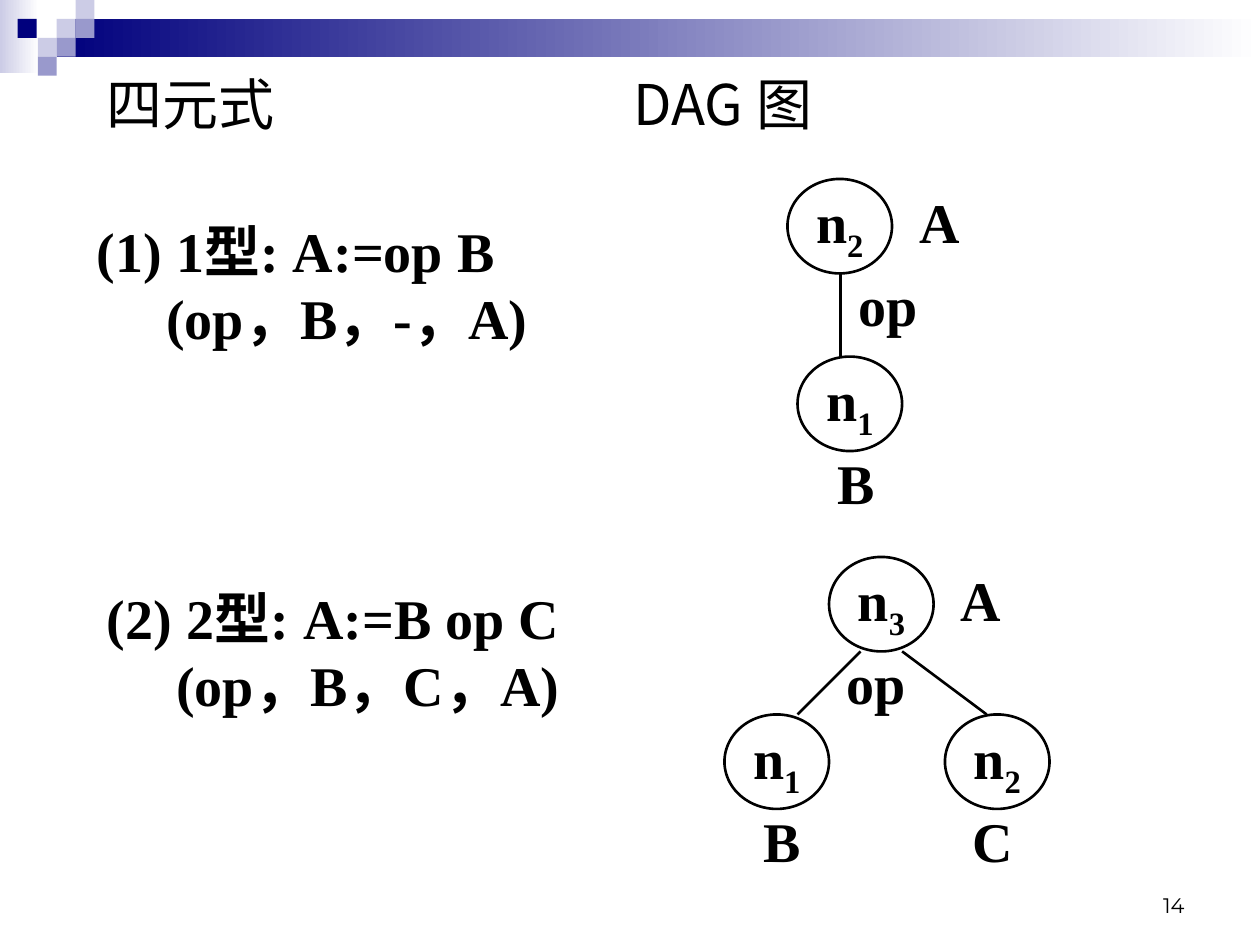
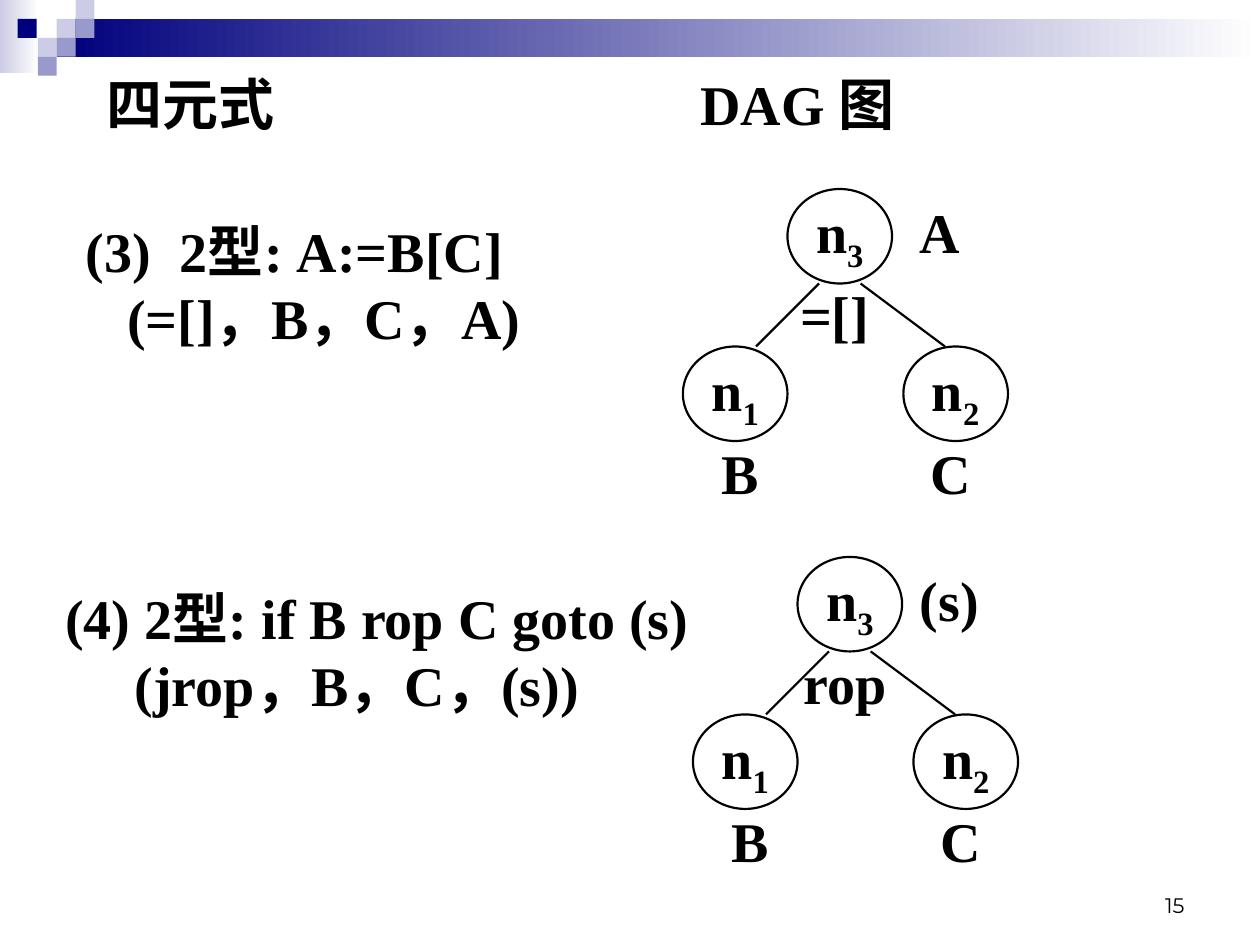
import pptx
import pptx.util
import pptx.dml.color
import pptx.enum.shapes
import pptx.enum.text
import pptx.oxml
import pptx.oxml.ns

Inches, Pt = pptx.util.Inches, pptx.util.Pt
SHAPE = pptx.enum.shapes.MSO_SHAPE
ALIGN = pptx.enum.text.PP_ALIGN
ANCHOR = pptx.enum.text.MSO_ANCHOR

COLORS = {"ink": "000000", "navy": "00007D", "violet": "9999CC",
          "pale": "CCCCE6", "white": "FFFFFF"}
SERIF, SANS, DIGITS = "Times New Roman", "Noto Sans CJK SC", "Montserrat"
NODE_W, NODE_H = 0.83, 0.75
TILE = 0.15
TILES = [(0.45, 0.15, "pale"), (0.6, 0, "pale"), (0.6, 0.15, "violet"),
         (0.3, 0.3, "pale"), (0.14, 0.15, "navy"), (0.45, 0.3, "violet"),
         (0.3, 0.45, "violet")]


def rgb(name):
    return pptx.dml.color.RGBColor.from_string(COLORS[name])


class Deck:
    label_format = {"size": Pt(32), "name": SERIF, "bold": True}

    def __init__(self):
        self.prs = pptx.Presentation()
        self.prs.slide_width, self.prs.slide_height = Inches(10), Inches(7.5)
        self.s = None
        self.line_width = 1.5

    def slide(self, number, line_width):
        self.s = self.prs.slides.add_slide(self.prs.slide_layouts[6])
        self.line_width = line_width
        self.rect(0, 0, 0.31, 0.58, "pale", "white")
        self.rect(0.45, 0.15, 9.55, 0.3, "navy", "white")
        for x, y, color in TILES:
            self.rect(x, y, TILE, TILE, color)
        tf = self.box(7.17, 6.83, 2.33, 0.5, ANCHOR.BOTTOM)
        p = tf.paragraphs[0]
        p.alignment = ALIGN.RIGHT
        self.run(p, number, size=Pt(12), name=DIGITS, bold=False)

    def rect(self, x, y, w, h, color, fade=None):
        sp = self.s.shapes.add_shape(SHAPE.RECTANGLE, Inches(x), Inches(y), Inches(w), Inches(h))
        sp.shadow.inherit = False
        sp.line.fill.background()
        if fade:
            sp.fill.gradient()
            sp.fill.gradient_angle = 0
            for stop, name in zip(sp.fill.gradient_stops, (color, fade)):
                stop.color.rgb = rgb(name)
        else:
            sp.fill.solid()
            sp.fill.fore_color.rgb = rgb(color)

    def box(self, x, y, w, h, anchor=ANCHOR.TOP, wrap=True):
        sp = self.s.shapes.add_textbox(Inches(x), Inches(y), Inches(w), Inches(h))
        tf = sp.text_frame
        tf.word_wrap, tf.vertical_anchor = wrap, anchor
        return tf

    def run(self, p, text, **changes):
        r = p.add_run()
        r.text = text
        for key, value in {**self.label_format, **changes}.items():
            setattr(r.font, key, value)
        r.font.color.rgb = rgb("ink")
        ea = pptx.oxml.parse_xml(
            f'<a:ea {pptx.oxml.ns.nsdecls("a")} typeface="{SANS}"/>')
        r.font._element.find(pptx.oxml.ns.qn("a:latin")).addnext(ea)
        return r

    def tab(self, p, position):
        p._p.get_or_add_pPr().append(pptx.oxml.parse_xml(
            f'<a:tabLst {pptx.oxml.ns.nsdecls("a")}>'
            f'<a:tab pos="{Inches(position)}" algn="l"/></a:tabLst>'))

    def heading(self, tab, name, bold):
        p = self.box(0.75, 0.5, 8.33, 0.75).paragraphs[0]
        self.tab(p, tab)
        self.run(p, "四元式\t", name=SANS, bold=bold)
        self.run(p, "DAG 图", name=name, bold=bold)

    def quadruple(self, x, y, w, rule, code, indent, tab=None):
        tf = self.box(x, y, w, 1.42)
        p = tf.paragraphs[0]
        if tab:
            self.tab(p, tab)
        self.run(p, rule)
        p = tf.add_paragraph()
        p._p.get_or_add_pPr().set("indent", str(Inches(indent)))
        self.run(p, code)

    def label(self, x, y, text):
        tf = self.box(x, y, 0.75, 0.67, ANCHOR.MIDDLE, False)
        tf.margin_left = tf.margin_right = 0
        p = tf.paragraphs[0]
        p.alignment = ALIGN.CENTER
        self.run(p, text)

    def node(self, x, y, index):
        sp = self.s.shapes.add_shape(SHAPE.OVAL, Inches(x), Inches(y),
                                     Inches(NODE_W), Inches(NODE_H))
        sp.shadow.inherit = False
        sp.fill.background()
        sp.line.color.rgb = rgb("ink")
        sp.line.width = Pt(self.line_width)
        tf = sp.text_frame
        tf.word_wrap, tf.vertical_anchor = False, ANCHOR.MIDDLE
        p = tf.paragraphs[0]
        p.alignment = ALIGN.CENTER
        self.run(p, "n")
        self.run(p, str(index)).font._element.set("baseline", "-25000")

    def edge(self, x1, y1, x2, y2):
        c = self.s.shapes.add_connector(pptx.enum.shapes.MSO_CONNECTOR.STRAIGHT,
                                        Inches(x1), Inches(y1), Inches(x2), Inches(y2))
        c.line.color.rgb = rgb("ink")
        c.line.width = Pt(self.line_width)
        c._element.spPr.append(pptx.oxml.parse_xml(
            f'<a:effectLst {pptx.oxml.ns.nsdecls("a")}/>'))

    def tree(self, x, y, result, op, op_dx, drop, children):
        self.node(x, y, len(children) + 1)
        self.label(x + NODE_W, y, result)
        self.label(x + op_dx, y + 0.66, op)
        for i, (name, dx, name_dx, start, end) in enumerate(children, 1):
            self.edge(x + start, y + NODE_H, x + end, y + drop)
            self.node(x + dx, y + drop, i)
            self.label(x + name_dx, y + drop + 0.66, name)

    def unary(self, x, y, result, op):
        self.tree(x, y, result, op, 0.42, 1.41, [("B", 0.08, 0.17, 0.42, 0.42)])

    def binary(self, x, y, result, op):
        self.tree(x, y, result, op, 0, 1.25,
                  [("B", -0.83, -0.75, 0.25, -0.25), ("C", 0.92, 0.92, 0.58, 1.25)])


def main():
    deck = Deck()

    deck.slide("14", 1.5)
    deck.heading(4.18, SANS, False)
    deck.quadruple(0.67, 1.67, 3.92, "(1) 1型: A:=op B", "(op，B，-，A)", 0.55)
    deck.unary(6.25, 1.42, "A", "op")
    deck.quadruple(0.75, 4.58, 3.92, "(2) 2型: A:=B op C", "(op，B，C，A)", 0.55)
    deck.binary(6.58, 4.42, "A", "op")

    deck.slide("15", 1.25)
    deck.heading(4.71, SERIF, True)
    deck.quadruple(0.58, 1.67, 4.22, "(3)\t2型: A:=B[C]", "(=[]，B，C，A)", 0.33, 0.75)
    deck.binary(6.25, 1.5, "A", "=[]")
    deck.quadruple(0.42, 4.58, 5.25, "(4) 2型: if B rop C goto (s)",
                   "(jrop，B，C，(s))", 0.55)
    deck.binary(6.33, 4.42, "(s)", "rop")

    deck.prs.save("out.pptx")


if __name__ == "__main__":
    main()
